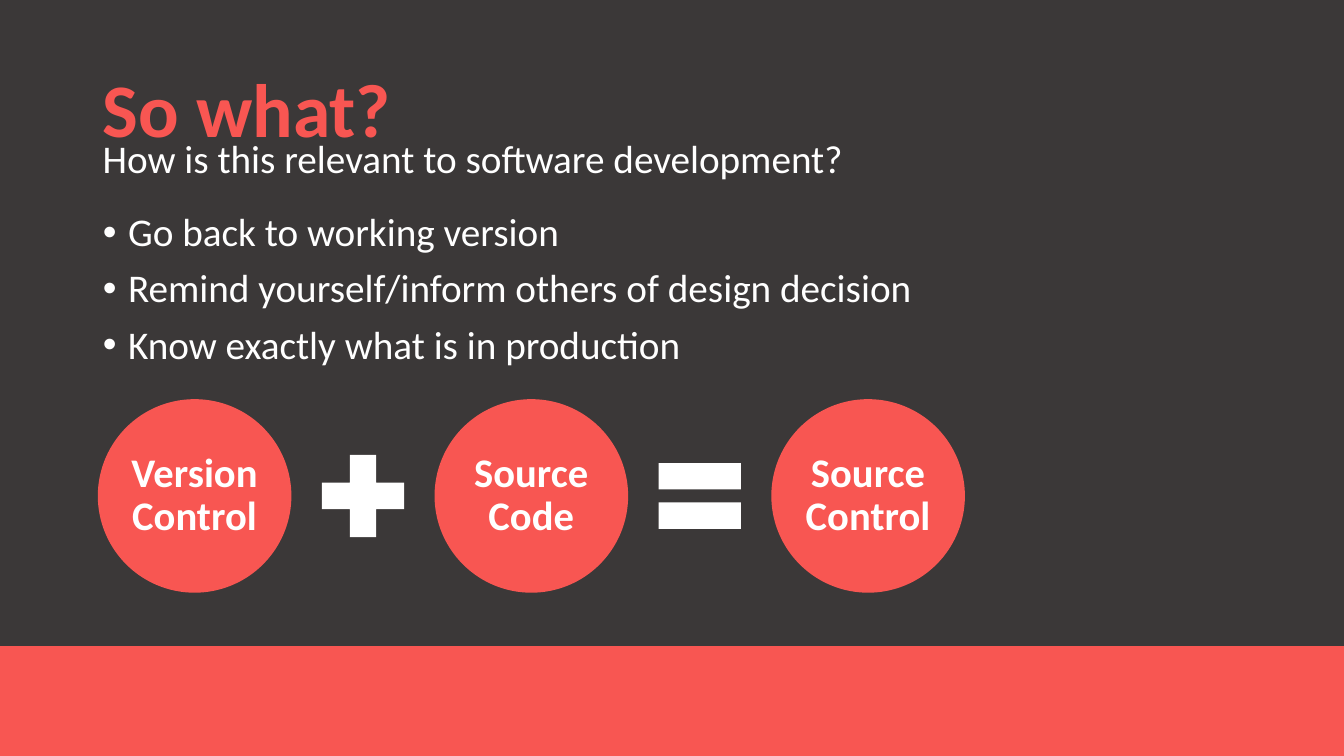
from pptx import Presentation
from pptx import util as u
from pptx.dml.color import RGBColor
from pptx.enum import shapes, text
from lxml import etree

# Content
TITLE = "So what?"
QUESTION = "How is this relevant to software development?"
REASONS = ["Go back to working version",
           "Remind yourself/inform others of design decision",
           "Know exactly what is in production"]
EQUATION = ["Version Control", "+", "Source Code", "=", "Source Control"]

# Theme and layout, in inches and points
THEME = dict(font="Calibri", dark="3B3838", accent="F85652", light="FFFFFF",
             title=54, body=28, circle=29)
W, H = 13.33, 7.5
LEFT, WIDTH = 0.92, 11.5
BAND_TOP = 6.41
CIRCLE, SIGN = 1.92, 1.11
FIRST_X, MID_Y, STEP = 1.93, 4.92, 1.67
SIGNS = {"+": shapes.MSO_SHAPE.MATH_PLUS, "=": shapes.MSO_SHAPE.MATH_EQUAL}


def color(name):
    return RGBColor.from_string(THEME[name])


def place(sp, x, y, w, h):
    for key, value in dict(left=x, top=y, width=w, height=h).items():
        setattr(sp, key, u.Inches(value))


def write(sp, lines, size, ink="light", bold=False, para=None, **frame):
    tf = sp.text_frame
    frame = dict(word_wrap=True, auto_size=text.MSO_AUTO_SIZE.NONE) | frame
    for key, value in frame.items():
        setattr(tf, key, value)
    for i, line in enumerate(lines):
        p = tf.add_paragraph() if i else tf.paragraphs[0]
        for key, value in (para or {}).items():
            setattr(p, key, value)
        r = p.add_run()
        r.text = line
        for key, value in dict(name=THEME["font"], size=u.Pt(THEME[size]), bold=bold).items():
            setattr(r.font, key, value)
        r.font.color.rgb = color(ink)
    return tf


def add_solid(s, kind, fill, x, y, w, h):
    sp = s.shapes.add_shape(kind, *map(u.Inches, (x, y, w, h)))
    sp.shadow.inherit = False
    sp.fill.solid()
    sp.fill.fore_color.rgb = color(fill)
    sp.line.fill.background()
    return sp


prs = Presentation()
prs.slide_width, prs.slide_height = u.Inches(W), u.Inches(H)
s = prs.slides.add_slide(prs.slide_layouts[1])
s.background.fill.solid()
s.background.fill.fore_color.rgb = color("dark")
title, body = s.placeholders

# Bottom band
add_solid(s, shapes.MSO_SHAPE.RECTANGLE, "accent", 0, BAND_TOP, W, H - BAND_TOP)

# Title and question
place(title, LEFT, 0.4, WIDTH, 1.45)
write(title, [TITLE], "title", "accent", True,
      dict(alignment=text.PP_ALIGN.LEFT, line_spacing=0.9),
      vertical_anchor=text.MSO_ANCHOR.MIDDLE)
question = s.shapes.add_textbox(*map(u.Inches, (LEFT, 1.28, WIDTH, 0.57)))
write(question, [QUESTION], "body")

# Reasons, with hanging bullets
place(body, LEFT, 2.06, WIDTH, 1.73)
tf = write(body, REASONS, "body", para=dict(line_spacing=0.9, space_before=u.Pt(10)))
for p in tf.paragraphs:
    pPr = p._p.get_or_add_pPr()
    pPr.set("marL", str(u.Inches(0.25)))
    pPr.set("indent", str(-u.Inches(0.25)))
    ns = pPr.nsmap["a"]
    etree.SubElement(pPr, f"{{{ns}}}buFont").set("typeface", "Arial")
    etree.SubElement(pPr, f"{{{ns}}}buChar").set("char", "•")

# Equation: circles and signs on evenly spaced centres
for i, term in enumerate(EQUATION):
    is_sign = term in SIGNS
    size = SIGN if is_sign else CIRCLE
    sp = add_solid(s, SIGNS.get(term, shapes.MSO_SHAPE.OVAL),
                   "light" if is_sign else "accent",
                   FIRST_X + i * STEP - size / 2, MID_Y - size / 2, size, size)
    if not is_sign:
        margins = {f"margin_{side}": u.Inches(0.04)
                   for side in ("left", "right", "top", "bottom")}
        write(sp, [term], "circle", bold=True,
              para=dict(alignment=text.PP_ALIGN.CENTER, line_spacing=0.9),
              vertical_anchor=text.MSO_ANCHOR.MIDDLE, **margins)

prs.save("out.pptx")
